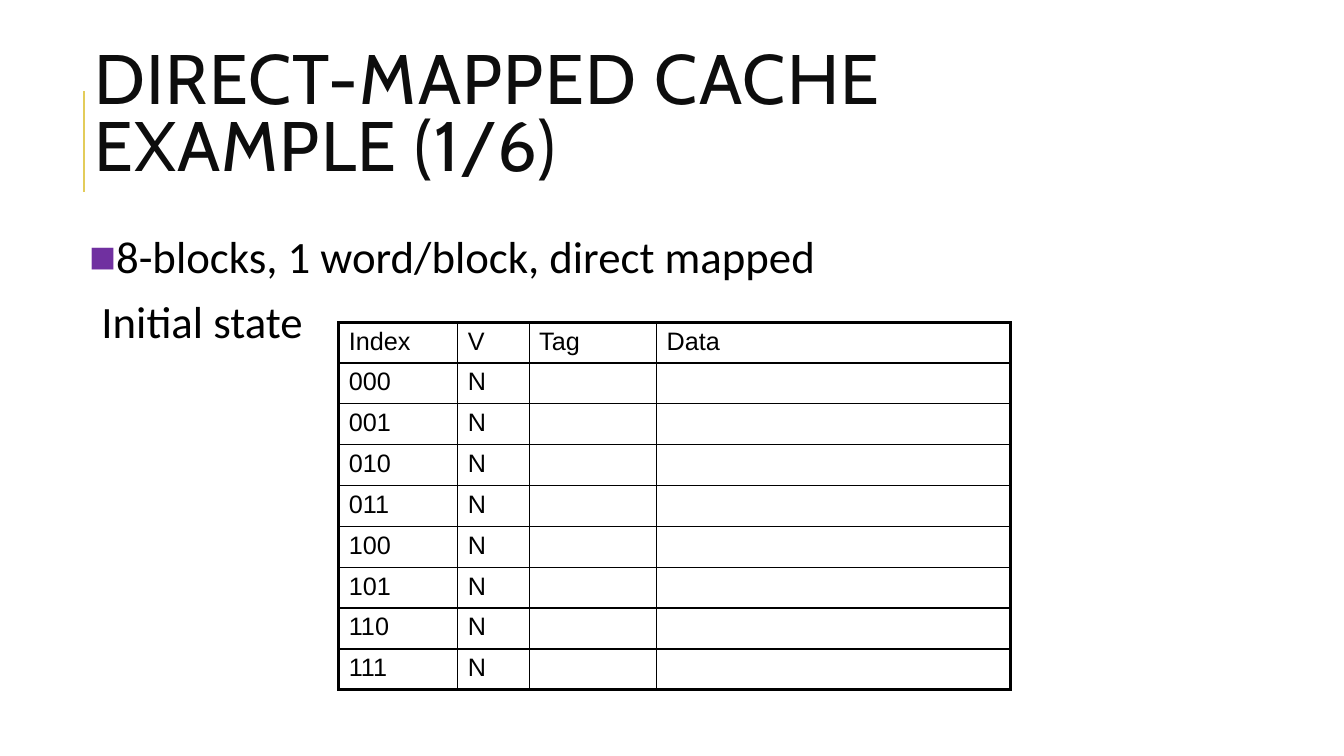
import pptx
import pptx.dml.color
import pptx.enum.shapes
import pptx.enum.text
import pptx.oxml.ns
import pptx.util
from lxml import etree

Pt = pptx.util.Pt
RGBColor = pptx.dml.color.RGBColor
qn = pptx.oxml.ns.qn

BLACK = RGBColor(0x00, 0x00, 0x00)
TITLE_INK = RGBColor(0x0D, 0x0D, 0x0D)
GOLD = RGBColor(0xE3, 0xCC, 0x5A)
PURPLE = RGBColor(0x70, 0x30, 0xA0)

THIN, HEADER_RULE, FRAME = 1, 1.5, 2.25
COLUMN_WIDTHS = (85, 51, 91, 253)
HEADERS = ("Index", "V", "Tag", "Data")
BLOCK_COUNT = 8


def set_attributes(target, values):
    """Set every attribute in the dict of values on the target."""
    for name, value in values.items():
        setattr(target, name, value)


def format_span(span, face, size, color):
    """Give a text span its font, size in points and colour."""
    set_attributes(span.font, {"name": face, "size": Pt(size), "bold": False})
    span.font.color.rgb = color


def place(shape, box):
    """Move a shape to a box of (left, top, width, height) in points."""
    names = ("left", "top", "width", "height")
    set_attributes(shape, dict(zip(names, map(Pt, box))))


def add_bullet(para, mark, color):
    """Give a paragraph a hanging bullet mark in a colour."""
    properties = para._p.get_or_add_pPr()
    properties.set("marL", str(Pt(7.2)))
    properties.set("indent", str(-Pt(7.2)))
    tint = etree.SubElement(properties, qn("a:buClr"))
    etree.SubElement(tint, qn("a:srgbClr"), val=str(color))
    etree.SubElement(properties, qn("a:buFont"), typeface="Arial")
    etree.SubElement(properties, qn("a:buChar"), char=mark)


def build_title(page, box):
    """Fill the title placeholder and draw the gold rule at its left edge."""
    title = page.shapes.title
    place(title, box)
    set_attributes(title.text_frame, {
        "word_wrap": True,
        "auto_size": pptx.enum.text.MSO_AUTO_SIZE.NONE,
        "vertical_anchor": pptx.enum.text.MSO_ANCHOR.MIDDLE,
    })
    para = title.text_frame.paragraphs[0]
    set_attributes(para, {
        "alignment": pptx.enum.text.PP_ALIGN.LEFT, "line_spacing": 0.8})
    span = para.add_run()
    span.text = "DIRECT-MAPPED CACHE EXAMPLE (1/6)"
    format_span(span, "Cabin", 50, TITLE_INK)
    span.font._element.set("spc", "100")

    left, top = box[:2]
    rule = page.shapes.add_connector(
        pptx.enum.shapes.MSO_CONNECTOR.STRAIGHT,
        Pt(left), Pt(top + 88.8), Pt(left), Pt(top + 16.8))
    rule.line.width = Pt(1.5)
    rule.line.color.rgb = GOLD
    etree.SubElement(rule._element.spPr, qn("a:effectLst"))


def build_body(page, box):
    """Fill the body placeholder with the cache description."""
    body = page.placeholders[1]
    place(body, box)
    margins = ("margin_left", "margin_top", "margin_right", "margin_bottom")
    set_attributes(body.text_frame, {
        "word_wrap": True,
        "auto_size": pptx.enum.text.MSO_AUTO_SIZE.NONE,
        "vertical_anchor": pptx.enum.text.MSO_ANCHOR.TOP,
        **dict.fromkeys(margins, Pt(3.6)),
    })
    lines = (
        ("8-blocks, 1 word/block, direct mapped", "\u25a0", PURPLE, 0, 0),
        ("Initial state", " ", GOLD, 12, 2),
    )
    for number, (text, mark, color, before, after) in enumerate(lines):
        frame = body.text_frame
        para = frame.add_paragraph() if number else frame.paragraphs[0]
        set_attributes(para, {
            "line_spacing": 0.9,
            "space_before": Pt(before),
            "space_after": Pt(after),
        })
        add_bullet(para, mark, color)
        span = para.add_run()
        span.text = text
        format_span(span, "Calibri", 32, BLACK)


def add_borders(cell, widths):
    """Draw black cell borders from a dict of side letter to width."""
    properties = cell._tc.get_or_add_tcPr()
    for side, width in widths.items():
        line = etree.SubElement(
            properties, qn("a:ln" + side), w=str(Pt(width)))
        fill = etree.SubElement(line, qn("a:solidFill"))
        etree.SubElement(fill, qn("a:srgbClr"), val=str(BLACK))


def build_cache_table(page, box):
    """Draw the cache table with every block not valid."""
    blocks = [(f"{index:03b}", "N", "", "") for index in range(BLOCK_COUNT)]
    rows = [HEADERS, *blocks]
    last_row, last_column = len(rows) - 1, len(HEADERS) - 1
    table = page.shapes.add_table(
        len(rows), len(HEADERS), *map(Pt, box)).table
    set_attributes(table, {"first_row": False, "horz_banding": False})
    for column, width in zip(table.columns, COLUMN_WIDTHS):
        column.width = Pt(width)
    row_rules = [FRAME, HEADER_RULE] + [THIN] * (last_row - 1) + [FRAME]
    column_rules = [FRAME] + [THIN] * last_column + [FRAME]
    for r, texts in enumerate(rows):
        table.rows[r].height = Pt(box[3] / len(rows))
        for c, text in enumerate(texts):
            cell = table.cell(r, c)
            add_borders(cell, {
                "L": column_rules[c], "R": column_rules[c + 1],
                "T": row_rules[r], "B": row_rules[r + 1],
            })
            cell.fill.background()
            if text:
                span = cell.text_frame.paragraphs[0].add_run()
                span.text = text
                format_span(span, "Arial", 18, BLACK)


def main():
    """Build the slide and save the deck."""
    deck = pptx.Presentation()
    set_attributes(deck, {"slide_width": Pt(960), "slide_height": Pt(540)})
    page = deck.slides.add_slide(deck.slide_layouts[1])
    build_title(page, (60, 48, 765.4, 72.7))
    build_body(page, (60, 164.2, 651.6, 105.1))
    build_cache_table(page, (242, 230.4, 480, 259.2))
    deck.save("out.pptx")


main()
